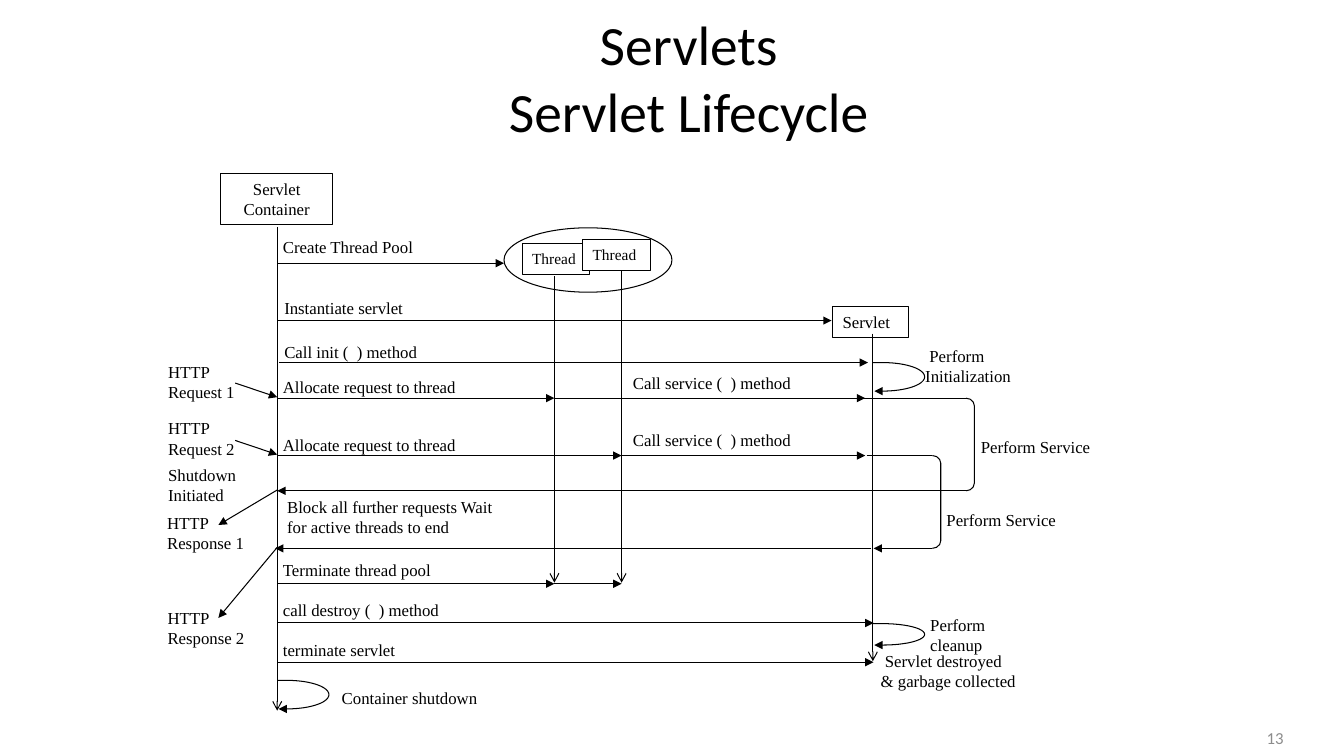
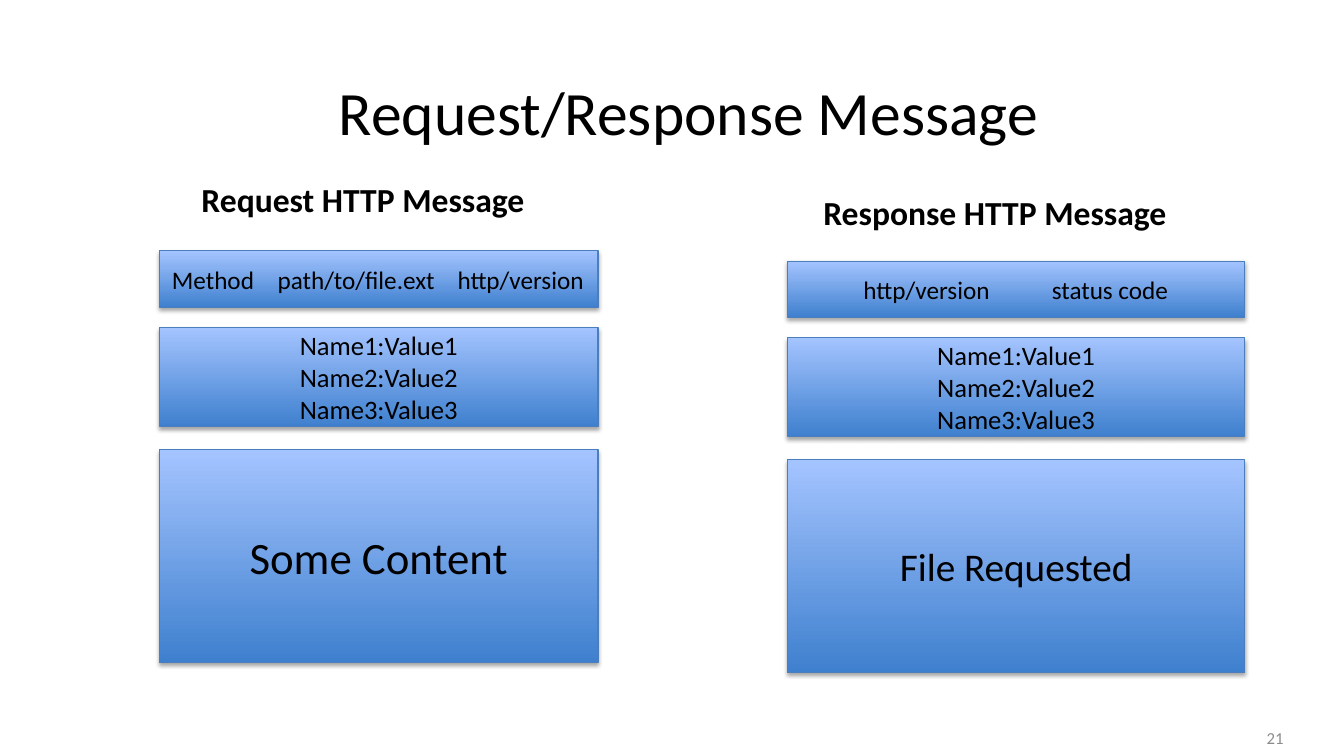
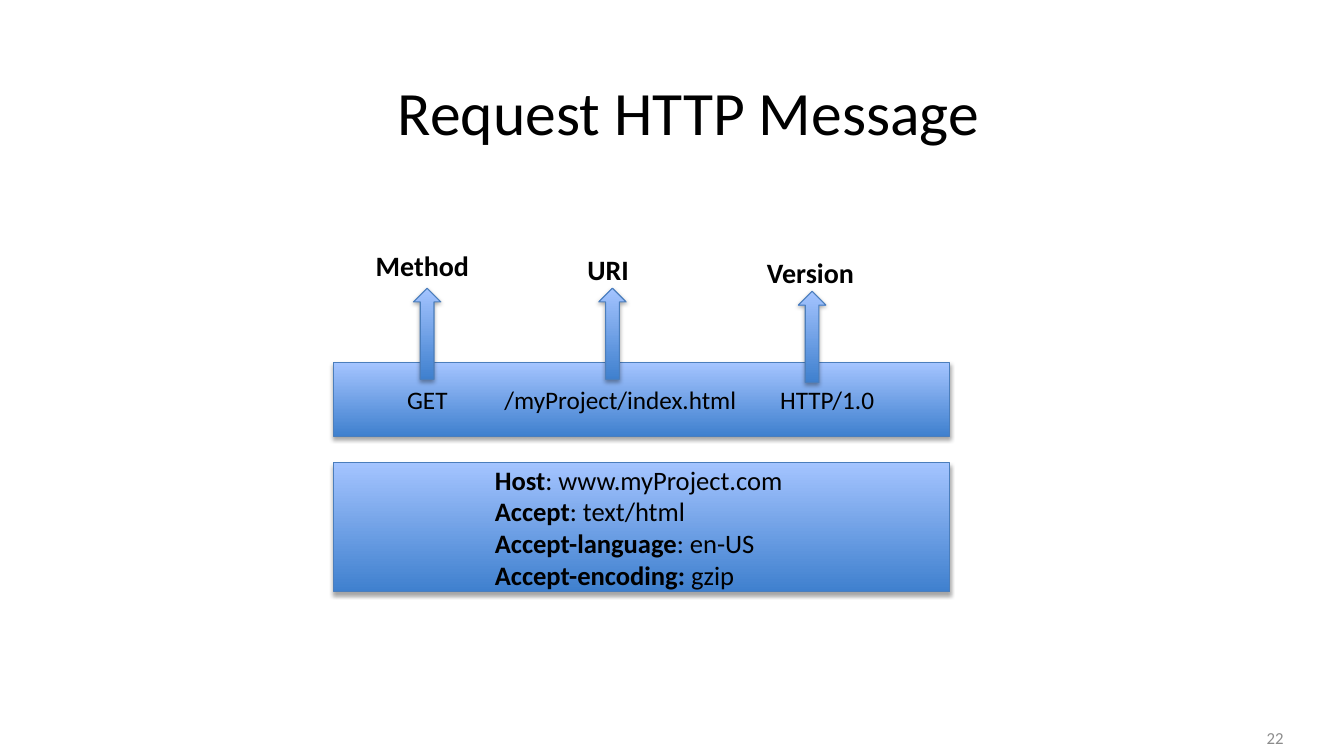
from math import cos, pi, sin

from lxml.etree import SubElement
from pptx import Presentation
from pptx.dml.color import RGBColor
from pptx.enum.shapes import MSO_CONNECTOR as Connector
from pptx.enum.shapes import MSO_SHAPE as Preset
from pptx.enum.text import MSO_ANCHOR as Anchor
from pptx.enum.text import MSO_AUTO_SIZE as AutoSize
from pptx.enum.text import PP_ALIGN as Align
from pptx.oxml.ns import qn
from pptx.util import Pt

BLACK, WHITE, GREY = "000000", "FFFFFF", "8C8C8C"
PANEL_LOW, PANEL_HIGH, PANEL_EDGE = "3F80CE", "A4C4FF", "4B7EBC"
SANS, SERIF = "Calibri", "Times New Roman"
LINE_WIDTH = 0.75


def colour(value):
    return RGBColor.from_string(value)


def style_para(para, size, name=SANS, bold=False, align=Align.LEFT, shade=BLACK):
    para.alignment = align
    para.font.name = name
    para.font.size = Pt(size)
    para.font.bold = bold
    para.font.color.rgb = colour(shade)


def write(frame, text, size, **style):
    frame.word_wrap = True
    frame.text = text
    for para in frame.paragraphs:
        style_para(para, size, **style)


def add_text(page, text, left, top, width, height, size, **style):
    box = page.shapes.add_textbox(Pt(left), Pt(top), Pt(width), Pt(height))
    write(box.text_frame, text, size, **style)
    return box


def style_line(shape, shade=BLACK, head=None):
    shape.line.color.rgb = colour(shade)
    shape.line.width = Pt(LINE_WIDTH)
    if head:
        SubElement(shape.element.spPr.find(qn("a:ln")), qn("a:tailEnd"), type=head)


def add_line(page, start, end, head=None):
    points = [Pt(value) for value in (*start, *end)]
    line = page.shapes.add_connector(Connector.STRAIGHT, *points)
    style_line(line, head=head)
    SubElement(line.element.spPr, qn("a:effectLst"))


def add_outline(page, preset, left, top, width, height, fill=None):
    shape = page.shapes.add_shape(preset, Pt(left), Pt(top), Pt(width), Pt(height))
    shape.shadow.inherit = False
    if fill:
        shape.fill.solid()
        shape.fill.fore_color.rgb = colour(fill)
    else:
        shape.fill.background()
    style_line(shape)
    return shape


def add_loop(page, left, top, height):
    straight, radius, steps = 7, 30, 24
    middle = top + height / 2
    curve = [
        (left + straight + radius * sin(pi * step / steps),
         middle - height / 2 * cos(pi * step / steps))
        for step in range(steps + 1)
    ]
    points = [(Pt(x), Pt(y)) for x, y in curve + [(left + 1, top + height)]]
    builder = page.shapes.build_freeform(Pt(left), Pt(top))
    builder.add_line_segments(points, close=False)
    loop = builder.convert_to_shape()
    loop.shadow.inherit = False
    loop.fill.background()
    style_line(loop, head="triangle")


def add_panel(page, left, top, width, height, preset=Preset.RECTANGLE):
    panel = page.shapes.add_shape(preset, Pt(left), Pt(top), Pt(width), Pt(height))
    panel.fill.gradient()
    panel.fill.gradient_angle = 90
    for stop, shade in zip(panel.fill.gradient_stops, (PANEL_LOW, PANEL_HIGH)):
        stop.color.rgb = colour(shade)
    style_line(panel, PANEL_EDGE)
    panel.shadow.inherit = False
    effects = panel.element.spPr.find(qn("a:effectLst"))
    shadow = SubElement(
        effects, qn("a:outerShdw"), blurRad=str(Pt(3.1)), dist=str(Pt(1.8)),
        dir="5400000", rotWithShape="0")
    shade = SubElement(shadow, qn("a:srgbClr"), val=BLACK)
    SubElement(shade, qn("a:alpha"), val="35000")
    panel.text_frame.vertical_anchor = Anchor.MIDDLE
    return panel


def write_columns(panel, columns):
    frame = panel.text_frame
    first = columns[0][1]
    frame.margin_left = Pt(first)
    frame.margin_right = 0
    frame.text = "\t".join(text for text, _ in columns)
    para = frame.paragraphs[0]
    stops = SubElement(para._p.get_or_add_pPr(), qn("a:tabLst"))
    for _, offset in columns[1:]:
        SubElement(stops, qn("a:tab"), pos=str(Pt(offset - first)), algn="l")
    style_para(para, 18)


def new_page(deck, title, number, size=44):
    page = deck.slides.add_slide(deck.slide_layouts[5])
    frame = page.shapes.title.text_frame
    write(frame, title, size, align=Align.CENTER)
    frame.auto_size = AutoSize.NONE
    frame.vertical_anchor = Anchor.MIDDLE
    footer = add_text(page, str(number), 700, 512.6, 224, 28.8, 12,
                      align=Align.RIGHT, shade=GREY)
    footer.text_frame.vertical_anchor = Anchor.MIDDLE
    return page


def draw_lifecycle(page, left, top):
    container, thread_1, thread_2, servlet = 86, 284, 332, 511.5
    create, instantiate, init = 64, 105, 135
    request_1, request_2, response_1, response_2 = 160.4, 201.4, 226.6, 267.7
    end_pool, destroy, end_servlet = 293, 321, 349
    bracket_1, bracket_2 = 578, 554

    add_outline(page, Preset.OVAL, left + 248, top + 38.7, 120, 46)
    boxes = [
        ("Servlet\nContainer", 45.7, 0, 80, 36.5, 12, Align.CENTER),
        ("Thread", 261, 50.2, 48.2, 21.6, 11, Align.LEFT),
        ("Thread", 304.2, 47.4, 48.2, 21.6, 11, Align.LEFT),
        ("Servlet", 482.7, 95, 54, 22.3, 12, Align.LEFT),
    ]
    for text, x, y, width, height, size, align in boxes:
        box = add_outline(page, Preset.RECTANGLE, left + x, top + y, width, height, WHITE)
        box.text_frame.vertical_anchor = Anchor.TOP
        write(box.text_frame, text, size, name=SERIF, align=align)

    lifelines = [
        (container, 38, 383.6), (thread_1, 73.3, 292.2),
        (thread_2, 69, 292.2), (servlet, 114.3, 348.3),
    ]
    for x, start, end in lifelines:
        add_line(page, (left + x, top + start), (left + x, top + end), "arrow")

    messages = [
        (container, 248, create), (container, 482, instantiate),
        (container + 1.5, 508, init),
        (container, thread_1, request_1), (thread_1, 506, request_1),
        (container, thread_2, request_2), (thread_2, 506, request_2),
        (512, container, response_1), (bracket_2, 512, response_2),
        (510, container - 1.5, response_2),
        (container, thread_1, end_pool), (thread_1, thread_2, end_pool),
        (container, 512, destroy), (container, 512, end_servlet),
    ]
    for start, end, y in messages:
        add_line(page, (left + start, top + y), (left + end, top + y), "triangle")

    plain = [
        (500, bracket_1, request_1), (500, bracket_1, response_1),
        (507, bracket_2, request_2),
    ]
    for start, end, y in plain:
        add_line(page, (left + start, top + y), (left + end, top + y))

    services = [(bracket_1, request_1, response_1), (bracket_2, request_2, response_2)]
    for x, start, end in services:
        bracket = add_outline(page, Preset.RIGHT_BRACKET, left + x, top + start, 6, end - start)
        bracket.adjustments[0] = 0.92

    client_calls = [
        ((56, 149.6), (container, 159.7)), ((56, 190.6), (container, 200.7)),
        ((container, 226), (44, 251)), ((container, 267), (44, 317.4)),
    ]
    for (x1, y1), (x2, y2) in client_calls:
        add_line(page, (left + x1, top + y1), (left + x2, top + y2), "triangle")

    for x, y, height in [(servlet, init, 20.4), (servlet, 321.5, 15.3), (container, 362, 20.4)]:
        add_loop(page, left + x, top + y, height)

    labels = [
        ("Create Thread Pool", 83, 41.6, 114, 0),
        ("Instantiate servlet", 84, 85, 114, 0),
        ("Call init (  ) method", 84, 116.5, 114, 0),
        ("Allocate request to thread", 83, 141.7, 156, 0),
        ("Allocate request to thread", 83, 182.7, 156, 0),
        ("Block all further requests Wait\nfor active threads to end", 86, 227.4, 170, 0),
        ("Terminate thread pool", 83, 272, 126, 0),
        ("call destroy (  ) method", 83, 300.8, 132, 0),
        ("terminate servlet", 83, 329.6, 102, 0),
        ("Container shutdown", 125, 363.4, 120, 0),
        ("Call service (  ) method", 333, 138.8, 132, 0),
        ("Call service (  ) method", 333, 179.1, 132, 0),
        ("Perform\nInitialization", 541.8, 119.4, 78, 3),
        ("Perform Service", 581.5, 184.2, 102, 0),
        ("Perform Service", 557, 236.7, 102, 0),
        ("Perform\ncleanup", 545.4, 311.6, 56, 0),
        ("Servlet destroyed\n& garbage collected", 510, 337.5, 116, 3),
        ("HTTP\nRequest 1", 1, 130.9, 75, 0),
        ("HTTP\nRequest 2", 1, 171.2, 75, 0),
        ("Shutdown\nInitiated", 1, 204.3, 66, 0),
        ("HTTP\nResponse 1", 0.3, 238.9, 75, 0),
        ("HTTP\nResponse 2", 0.6, 306.6, 75, 0),
    ]
    for text, x, y, width, indent in labels:
        height = 36 if "\n" in text else 21.6
        label = add_text(page, text, left + x, top + y, width, height, 12, name=SERIF)
        if indent:
            first = label.text_frame.paragraphs[0]._p.get_or_add_pPr()
            first.set("marL", "0")
            first.set("indent", str(Pt(indent)))


def draw_message(page, left, top, width, heading, heading_at, columns, content, content_size):
    x, y = heading_at
    add_text(page, heading, left + x, top + y, 290, 36, 24, bold=True)
    write_columns(add_panel(page, left, top, width, 40.3), columns)
    headers = add_panel(page, left, top + 54.7, width, 70.6)
    write(headers.text_frame, "\n".join(f"Name{n}:Value{n}" for n in (1, 2, 3)), 19,
          align=Align.CENTER)
    body = add_panel(page, left, top + 142, width, 152)
    write(body.text_frame, content, content_size, align=Align.CENTER)


def draw_request(page, left, top, width):
    columns = [("GET", 52.5), ("/myProject/index.html", 122), ("HTTP/1.0", 319)]
    write_columns(add_panel(page, left, top, width, 52.6), columns)

    panel = add_panel(page, left, top + 71.3, width, 92.2)
    frame = panel.text_frame
    frame.margin_left = Pt(115.2)
    headers = [
        ("Host", ": www.myProject.com"), ("Accept", ": text/html"),
        ("Accept-language", ": en-US"), ("Accept-encoding: ", "gzip"),
    ]
    for index, (name, value) in enumerate(headers):
        para = frame.add_paragraph() if index else frame.paragraphs[0]
        style_para(para, 19)
        for text, bold in ((name, True), (value, False)):
            span = para.add_run()
            span.text = text
            span.font.bold = bold

    callouts = [
        ("Method", 23, -85, 57, -53.3),
        ("URI", 174.2, -82.1, 189.4, -53.3),
        ("Version", 302.4, -80, 332, -51.1),
    ]
    for text, label_x, label_y, arrow_x, arrow_y in callouts:
        add_text(page, text, left + label_x, top + label_y, 82.8, 31.7, 20, bold=True)
        add_panel(page, left + arrow_x, top + arrow_y, 19.6, 65, Preset.UP_ARROW)


def main():
    deck = Presentation()
    deck.slide_width, deck.slide_height = Pt(960), Pt(540)
    title = deck.slide_layouts[5].placeholders[0]
    title.left, title.top, title.width, title.height = Pt(60), Pt(34), Pt(864), Pt(90)

    page = new_page(deck, "Servlets\nServlet Lifecycle", 13, 39.6)
    page.shapes.title.text_frame.margin_bottom = Pt(52)
    draw_lifecycle(page, 112, 124)

    page = new_page(deck, "Request/Response Message", 21)
    draw_message(page, 113.8, 179.3, 313.4, "Request HTTP Message", (23, -54.7),
                 [("Method", 9), ("path/to/file.ext", 84.5), ("http/version", 213)],
                 "Some Content", 32)
    draw_message(page, 562.3, 186.5, 327, "Response HTTP Message", (18.7, -53.3),
                 [("http/version", 54.5), ("status code", 189)],
                 "File Requested", 28)

    page = new_page(deck, "Request HTTP Message", 22)
    draw_request(page, 238.3, 259.2, 440)

    deck.save("out.pptx")


if __name__ == "__main__":
    main()
